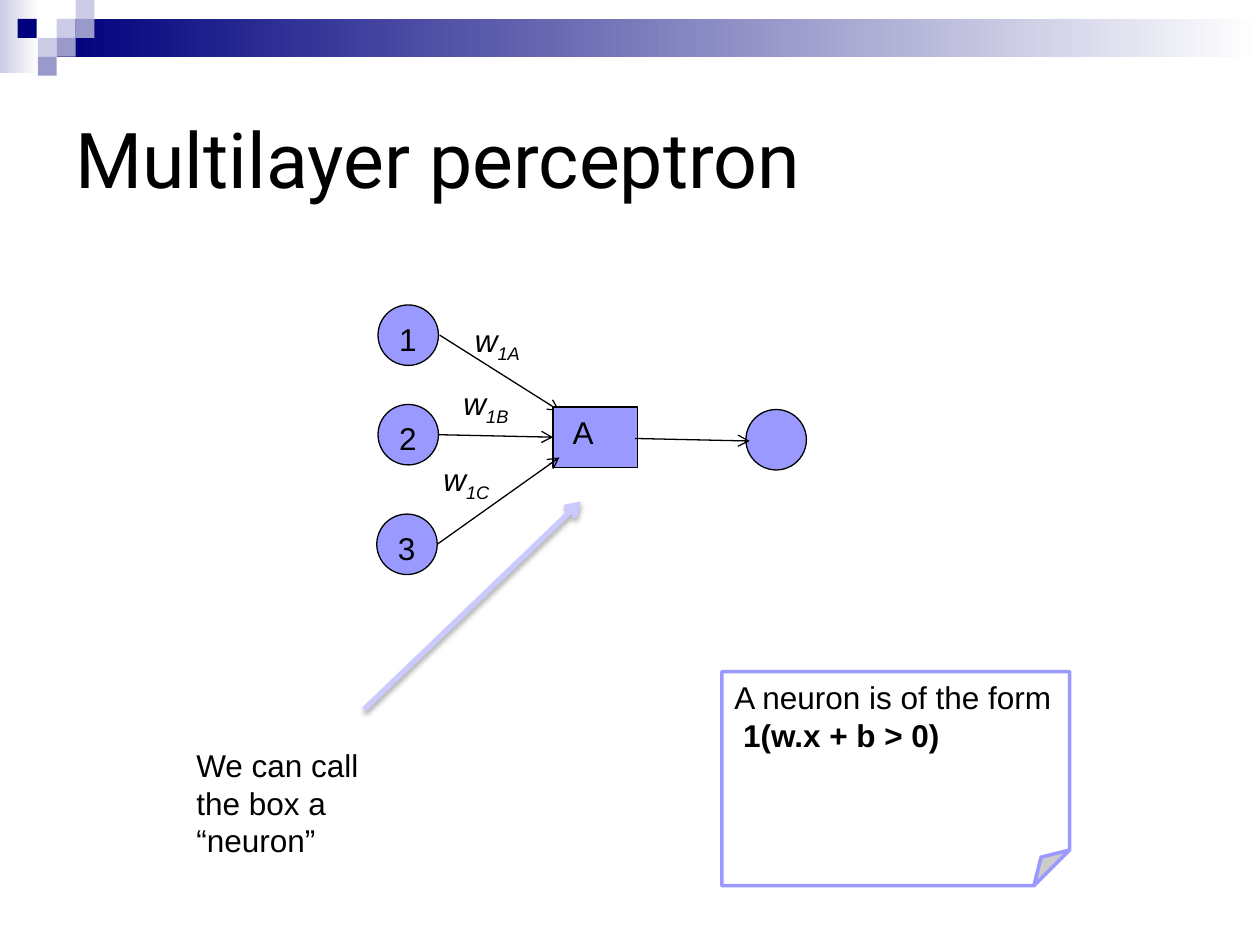
from lxml.etree import SubElement
from pptx import Presentation
from pptx.dml.color import RGBColor
from pptx.enum.shapes import MSO_CONNECTOR as Connector, MSO_SHAPE as Shape
from pptx.enum.text import MSO_ANCHOR as Anchor, MSO_AUTO_SIZE as AutoSize, PP_ALIGN as Align
from pptx.oxml.ns import qn
from pptx.util import Emu, Pt

PX = 9144  # 100 px to the inch
COLORS = {
    "black": "000000",
    "white": "FFFFFF",
    "navy": "00007D",
    "steel": "9999CC",
    "mist": "CCCCE6",
    "node": "9999FF",
    "pointer": "CACAFF",
}


def px(*lengths):
    return [Emu(length * PX) for length in lengths]


def color(name):
    return RGBColor.from_string(COLORS[name])


class SlideBuilder:
    def __init__(self, slide, font="Arial", size=18):
        self.slide = slide
        self.font = font
        self.size = size

    def set_text(self, shape, runs, font=None, size=None, italic=None, anchor=Anchor.TOP):
        """Fill a shape with one paragraph of (text, style) runs."""
        frame = shape.text_frame
        frame.word_wrap = True
        frame.vertical_anchor = anchor
        paragraph = frame.paragraphs[0]
        paragraph.alignment = Align.LEFT
        paragraph.font.name = font or self.font
        paragraph.font.size = Pt(size or self.size)
        paragraph.font.italic = italic
        paragraph.font.color.rgb = color("black")
        for text, style in runs:
            run = paragraph.add_run()
            run.text = text
            run.font.color.rgb = color("black")
            if style == "bold":
                run.font.bold = True
            elif style == "subscript":
                run._r.get_or_add_rPr().set("baseline", "-25000")

    def shape(self, kind, box, fill, line=None, width=0.75, runs=()):
        shape = self.slide.shapes.add_shape(kind, *px(*box))
        shape.shadow.inherit = False
        if isinstance(fill, tuple):
            shape.fill.gradient()
            shape.fill.gradient_angle = 0
            for stop, name in zip(shape.fill.gradient_stops, fill):
                stop.color.rgb = color(name)
        else:
            shape.fill.solid()
            shape.fill.fore_color.rgb = color(fill)
        if line:
            shape.line.color.rgb = color(line)
            shape.line.width = Pt(width)
        else:
            shape.line.fill.background()
        if runs:
            self.set_text(shape, runs)

    def text(self, box, runs, grow=True, **style):
        shape = self.slide.shapes.add_textbox(*px(*box))
        self.set_text(shape, runs, **style)
        shape.text_frame.auto_size = AutoSize.SHAPE_TO_FIT_TEXT if grow else AutoSize.NONE

    def arrow(self, start, end, line="black", width=0.75, shadow=False):
        connector = self.slide.shapes.add_connector(Connector.STRAIGHT, *px(*start, *end))
        connector.line.color.rgb = color(line)
        connector.line.width = Pt(width)
        properties = connector._element.spPr
        SubElement(properties.find(qn("a:ln")), qn("a:tailEnd"), type="arrow")
        effects = SubElement(properties, qn("a:effectLst"))
        if shadow:
            outer = SubElement(effects, qn("a:outerShdw"), blurRad=str(Pt(3.1)),
                               dist=str(Pt(1.8)), dir="5400000", rotWithShape="0")
            tint = SubElement(outer, qn("a:srgbClr"), val=COLORS["black"])
            SubElement(tint, qn("a:alpha"), val="35000")


def add_banner(builder):
    builder.shape(Shape.RECTANGLE, (0, 0, 31, 58), ("mist", "white"))
    builder.shape(Shape.RECTANGLE, (45, 15, 955, 30), ("navy", "white"))
    squares = [(45, 15, "mist"), (60, 0, "mist"), (60, 15, "steel"), (30, 30, "mist"),
               (14, 15, "navy"), (45, 30, "steel"), (30, 45, "steel")]
    for left, top, fill in squares:
        builder.shape(Shape.RECTANGLE, (left, top, 15, 15), fill)


def add_network(builder):
    inputs = [("1", 300, 242), ("2", 300, 321), ("3", 299, 408)]
    for label, left, top in inputs:
        builder.shape(Shape.OVAL, (left, top, 48, 48), "node", "black", runs=[(label, None)])
    builder.arrow((349, 266), (444, 326))
    builder.arrow((348, 345), (439, 347))
    builder.shape(Shape.RECTANGLE, (439, 323, 67, 48), "node", "black", runs=[(" A", None)])
    builder.shape(Shape.OVAL, (592, 325, 48, 48), "node", "black")
    builder.arrow((347, 432), (444, 363))
    builder.arrow((504, 348), (595, 350))
    weights = [("1A", 367, 250), ("1B", 358, 300), ("1C", 342, 360)]
    for index, left, top in weights:
        builder.text((left, top, 108, 40), [("w", None), (index, "subscript")], italic=True)


def add_notes(builder):
    builder.shape(Shape.FOLDED_CORNER, (573, 533, 276, 170), "white", "node", 2,
                  [("A neuron is of the form  ", None), ("1(w.x + b > 0)", "bold")])
    builder.arrow((289, 563), (461, 398), "pointer", 3, shadow=True)
    builder.text((146, 587, 160, 101), [("We can call the box a “neuron”", None)])


def main():
    presentation = Presentation()
    presentation.slide_width, presentation.slide_height = px(1000, 750)
    builder = SlideBuilder(presentation.slides.add_slide(presentation.slide_layouts[6]))
    add_banner(builder)
    builder.text((50, 50, 900, 150), [("Multilayer perceptron", None)], grow=False,
                 font="Roboto", size=44, anchor=Anchor.MIDDLE)
    add_network(builder)
    add_notes(builder)
    presentation.save("out.pptx")


if __name__ == "__main__":
    main()
